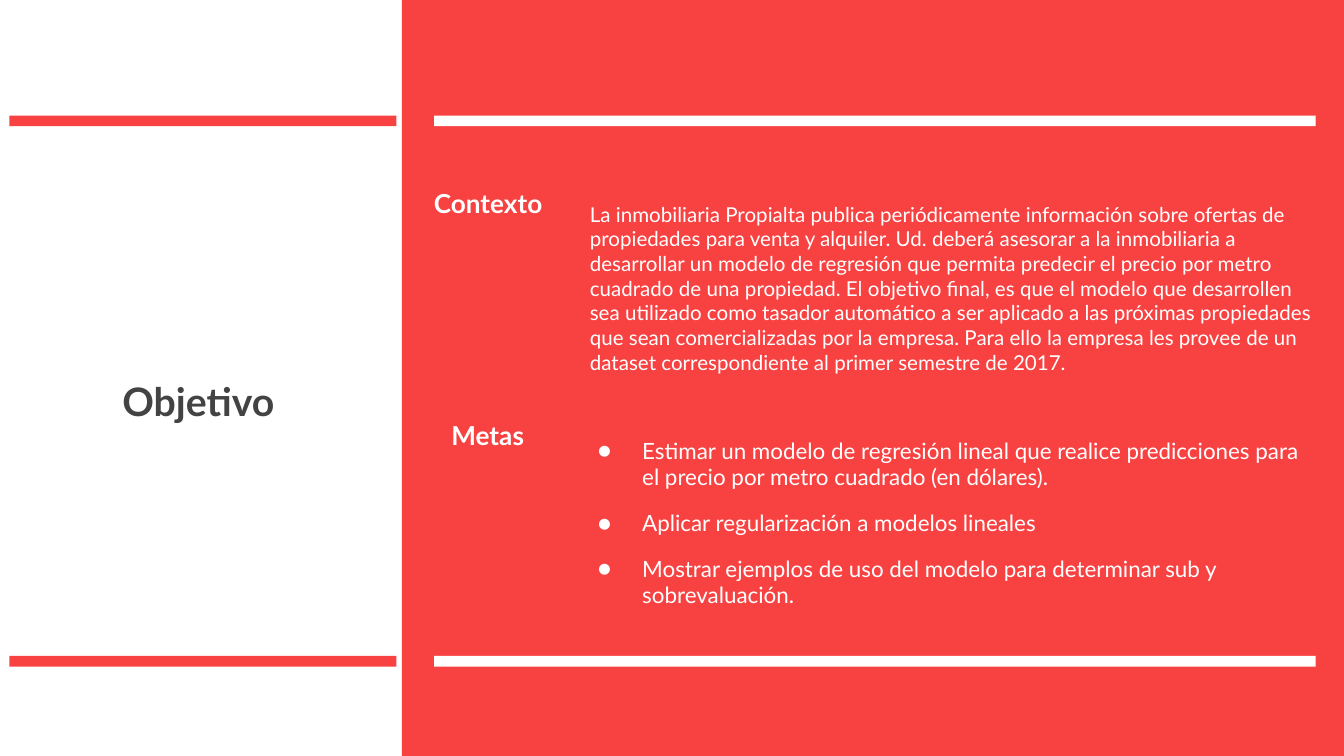
import pptx
import pptx.dml.color
import pptx.enum.shapes
import pptx.enum.text
import pptx.oxml.ns
import pptx.util
from lxml import etree

RED = pptx.dml.color.RGBColor(0xF8, 0x42, 0x42)
WHITE = pptx.dml.color.RGBColor(0xFF, 0xFF, 0xFF)
GREY = pptx.dml.color.RGBColor(0x43, 0x43, 0x43)

COLUMNS, ROWS = 100, 56.25
ANCHOR = pptx.enum.text.MSO_ANCHOR

CONTEXT = (
    "La inmobiliaria Propialta publica periódicamente información sobre ofertas de "
    "propiedades para venta y alquiler. Ud. deberá asesorar a la inmobiliaria a "
    "desarrollar un modelo de regresión que permita predecir el precio por metro "
    "cuadrado de una propiedad. El objetivo final, es que el modelo que desarrollen "
    "sea utilizado como tasador automático a ser aplicado a las próximas propiedades "
    "que sean comercializadas por la empresa. Para ello la empresa les provee de un "
    "dataset correspondiente al primer semestre de 2017."
)
GOALS = [
    "Estimar un modelo de regresión lineal que realice predicciones para "
    "el precio por metro cuadrado (en dólares).",
    "Aplicar regularización a modelos lineales",
    "Mostrar ejemplos de uso del modelo para determinar sub y sobrevaluación.",
]


class SlideBuilder:
    """Draws on one slide; every area is (left, top, width, height) in grid cells."""

    font_name = "Lato"

    def __init__(self, deck):
        self.slide = deck.slides.add_slide(deck.slide_layouts[6])
        self.column = deck.slide_width / COLUMNS
        self.row = deck.slide_height / ROWS

    def place(self, area):
        left, top, width, height = area
        return (round(left * self.column), round(top * self.row),
                round(width * self.column), round(height * self.row))

    def block(self, area, color):
        shape = self.slide.shapes.add_shape(
            pptx.enum.shapes.MSO_SHAPE.RECTANGLE, *self.place(area))
        shape.shadow.inherit = False
        shape.fill.solid()
        shape.fill.fore_color.rgb = color
        shape.line.fill.background()

    def text(self, area, paragraphs, size, color=WHITE, bold=False, wrap=True,
             anchor=ANCHOR.TOP, insets=(0.1, 0.1), bulleted=False):
        box = self.slide.shapes.add_textbox(*self.place(area))
        frame = box.text_frame
        frame.word_wrap = wrap
        frame.vertical_anchor = anchor
        side, edge = (pptx.util.Inches(inset) for inset in insets)
        frame.margin_left = frame.margin_right = side
        frame.margin_top = frame.margin_bottom = edge
        for index, content in enumerate(paragraphs):
            para = frame.add_paragraph() if index else frame.paragraphs[0]
            if index:
                para.space_before = pptx.util.Pt(10)
            if bulleted:
                self.bullet(para, color)
            span = para.add_run()
            span.text = content
            span.font.name = self.font_name
            span.font.size = pptx.util.Pt(size)
            span.font.bold = bold
            span.font.color.rgb = color

    def bullet(self, para, color):
        properties = para._p.get_or_add_pPr()
        properties.set("marL", str(pptx.util.Inches(0.5)))
        properties.set("indent", str(pptx.util.Inches(-0.33)))
        tag = pptx.oxml.ns.qn
        bullet_color = etree.SubElement(properties, tag("a:buClr"))
        etree.SubElement(bullet_color, tag("a:srgbClr"), val=str(color))
        etree.SubElement(properties, tag("a:buFont"), typeface=self.font_name)
        etree.SubElement(properties, tag("a:buChar"), char="●")


def main():
    deck = pptx.Presentation()
    deck.slide_width = pptx.util.Inches(10)
    deck.slide_height = deck.slide_width * 9 // 16
    page = SlideBuilder(deck)

    page.block((29.9, 0, 70.1, ROWS), RED)
    for top in (8.6, 48.8):
        page.block((0.7, top, 28.8, 0.8), RED)
        page.block((32.3, top, 65.6, 0.8), WHITE)

    page.text((8.9, 28, 12, 4.2), ["Objetivo"], 21, color=GREY, bold=True,
              insets=(0.02, 0.01))
    page.text((31.3, 12.8, 10.3, 4.6), ["Contexto"], 14, bold=True,
              wrap=False, anchor=ANCHOR.MIDDLE)
    page.text((32.6, 30.1, 7.6, 4.6), ["Metas"], 14, bold=True,
              wrap=False, anchor=ANCHOR.MIDDLE)
    page.text((42.9, 14, 56.2, 15.7), [CONTEXT], 11)
    page.text((41.8, 31.5, 56.2, 16.6), GOALS, 12, bulleted=True)

    deck.save("out.pptx")


if __name__ == "__main__":
    main()
